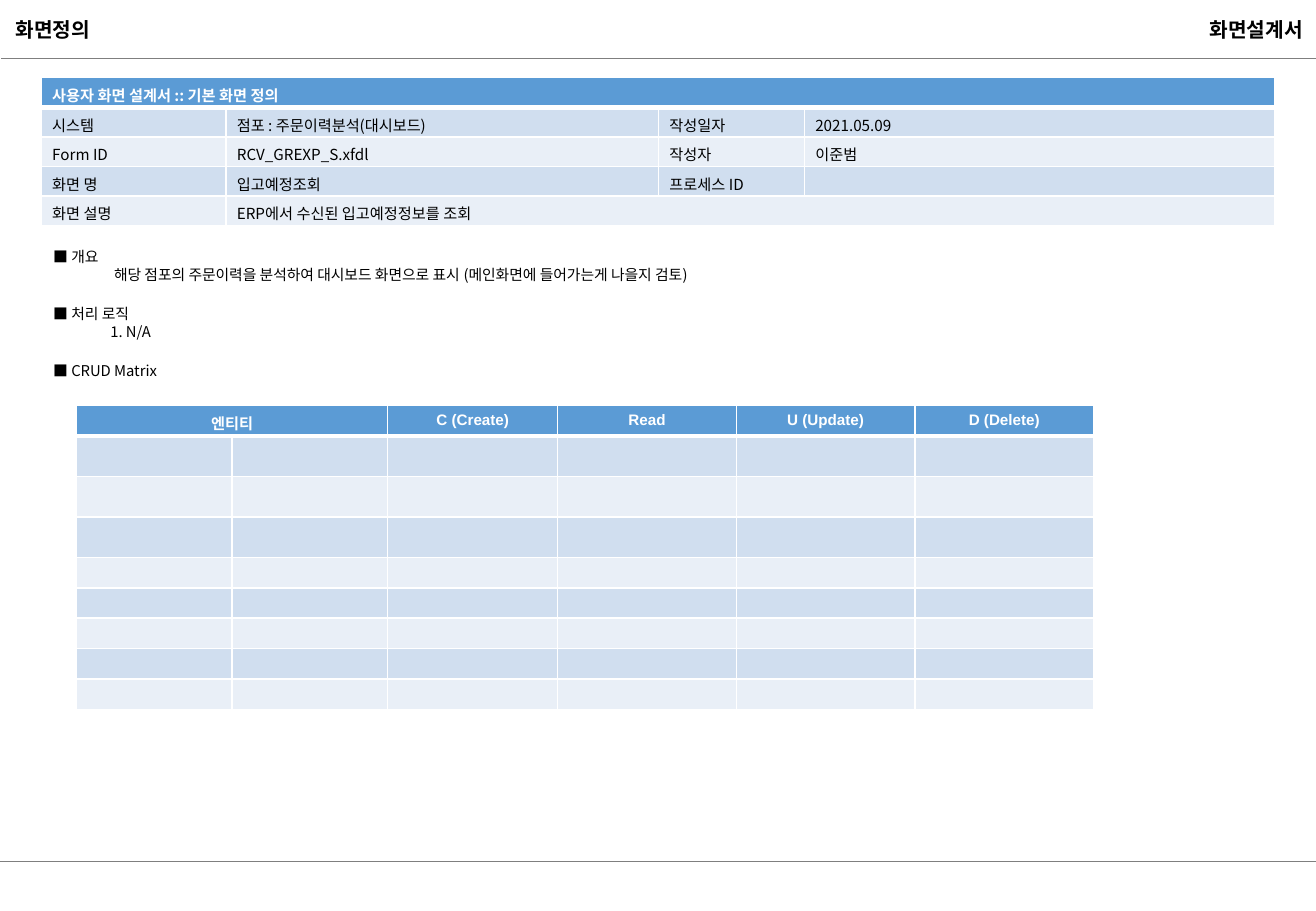
from lxml.etree import SubElement
from pptx import Presentation
from pptx.dml.color import RGBColor
from pptx.enum.text import MSO_ANCHOR, MSO_AUTO_SIZE, PP_ALIGN
from pptx.oxml.ns import qn
from pptx.util import Inches, Pt

HUES = {"head": "5B9BD5", "dark": "D0DEEF", "light": "E9EFF7",
        "white": "FFFFFF", "black": "000000", "rule": "7F7F7F"}
KOREAN = "Noto Sans CJK KR"


def write(para, text, size, hue="black", bold=False, face=KOREAN):
    """Add one run, with the Korean face for its East Asian letters."""
    run = para.add_run()
    run.text = text
    looks = {"size": Pt(size), "bold": bold, "name": face}
    for key, value in looks.items():
        setattr(run.font, key, value)
    run.font.color.rgb = RGBColor.from_string(HUES[hue])
    SubElement(run.font._element, qn("a:ea"), typeface=KOREAN)


def make_grid(slide, left, top, cols, rows, texts, side, align, face):
    """Add a banded table with white rules; texts maps (row, col) to words."""
    table = slide.shapes.add_table(
        len(rows), len(cols), Inches(left), Inches(top),
        Inches(sum(cols)), Inches(sum(rows))).table
    for col, width in zip(table.columns, cols):
        col.width = Inches(width)
    for row, height in zip(table.rows, rows):
        row.height = Inches(height)
    pads = {"margin_left": side, "margin_right": side,
            "margin_top": 0.05, "margin_bottom": 0.01}
    for r in range(len(rows)):
        for c in range(len(cols)):
            cell = table.cell(r, c)
            for key, value in pads.items():
                setattr(cell, key, Inches(value))
            props = cell._tc.get_or_add_tcPr()
            for edge in "LRTB":
                thick = (r, edge) in [(0, "B"), (1, "T")]
                line = SubElement(props, qn(f"a:ln{edge}"), w=str(Pt(3 if thick else 1)))
                fill = SubElement(line, qn("a:solidFill"))
                SubElement(fill, qn("a:srgbClr"), val=HUES["white"])
            band = "head" if r == 0 else "dark" if r % 2 else "light"
            cell.fill.solid()
            cell.fill.fore_color.rgb = RGBColor.from_string(HUES[band])
            para = cell.text_frame.paragraphs[0]
            if (r, c) in texts:
                para.alignment = align if r == 0 else PP_ALIGN.LEFT
                write(para, texts[r, c], 9, "black" if r else "white", r == 0, face)
            else:
                SubElement(para._p, qn("a:endParaRPr"), sz="900")
    return table


deck = Presentation()
deck.slide_width, deck.slide_height = Inches(10.83), Inches(7.5)
slide = deck.slides.add_slide(deck.slide_layouts[5])

# Page rules
for start, y in [(0, 7.09), (0.01, 0.48)]:
    rule = slide.shapes.add_connector(1, Inches(start), Inches(y), Inches(10.83), Inches(y))
    rule.line.color.rgb = RGBColor.from_string(HUES["rule"])
    rule.line.width = Pt(0.75)
    SubElement(rule._element.spPr, qn("a:effectLst"))

# Page headings
title = slide.shapes.title
label = slide.shapes.add_textbox(0, 0, 0, 0)
heads = [(title, "화면정의", 0.03, 0.87, PP_ALIGN.LEFT),
         (label, "화면설계서", 7.75, 3.07, PP_ALIGN.RIGHT)]
for box, text, left, width, align in heads:
    place = {"left": left, "top": 0.09, "width": width, "height": 0.3}
    for key, value in place.items():
        setattr(box, key, Inches(value))
    frame = box.text_frame
    form = {"word_wrap": True, "auto_size": MSO_AUTO_SIZE.NONE,
            "vertical_anchor": MSO_ANCHOR.MIDDLE}
    for key, value in form.items():
        setattr(frame, key, value)
    frame.paragraphs[0].alignment = align
    write(frame.paragraphs[0], text, 12, bold=True)

# Screen facts
facts = [
    ["사용자 화면 설계서 :: 기본 화면 정의"],
    ["시스템", "점포 : 주문이력분석(대시보드)", "작성일자", "2021.05.09"],
    ["Form ID", "RCV_GREXP_S.xfdl", "작성자", "이준범"],
    ["화면 명", "입고예정조회", "프로세스 ID"],
    ["화면 설명", "ERP에서 수신된 입고예정정보를 조회"],
]
words = {(r, c): text for r, row in enumerate(facts) for c, text in enumerate(row)}
info = make_grid(slide, 0.34, 0.64, [1.52, 3.56, 1.2, 3.87], [1.22 / 5] * 5,
                 words, 0.09, PP_ALIGN.LEFT, KOREAN)
info.cell(0, 0).merge(info.cell(0, 3))
info.cell(4, 1).merge(info.cell(4, 3))

# Notes on the screen
notes = [("■ 개요", 0, 0),
         ("해당 점포의 주문이력을 분석하여 대시보드 화면으로 표시 (메인화면에 들어가는게 나을지 검토)", 0.5, 0),
         ("■ 처리 로직", 0, 12.75),
         ("1. N/A", 0.47, 0),
         ("■ CRUD Matrix", 0, 12.75)]
body = slide.shapes.add_textbox(Inches(0.34), Inches(1.99), Inches(10.16), Inches(1.32))
frame = body.text_frame
frame.word_wrap = True
for i, (text, indent, gap) in enumerate(notes):
    para = frame.add_paragraph() if i else frame.paragraphs[0]
    para.line_spacing = 1.0
    para.space_before = Pt(gap)
    para._p.get_or_add_pPr().set("marL", str(Inches(indent)))
    write(para, text, 8.8)

# CRUD matrix
names = {(0, 0): "엔티티", (0, 2): "C (Create)", (0, 3): "Read",
         (0, 4): "U (Update)", (0, 5): "D (Delete)"}
crud = make_grid(slide, 0.63, 3.34, [1.28, 1.28, 1.4] + [1.47] * 3,
                 [0.25] + [1 / 3] * 3 + [0.25] * 5,
                 names, 0.1, PP_ALIGN.CENTER, "Arial")
crud.cell(0, 0).merge(crud.cell(0, 1))

deck.save("out.pptx")
